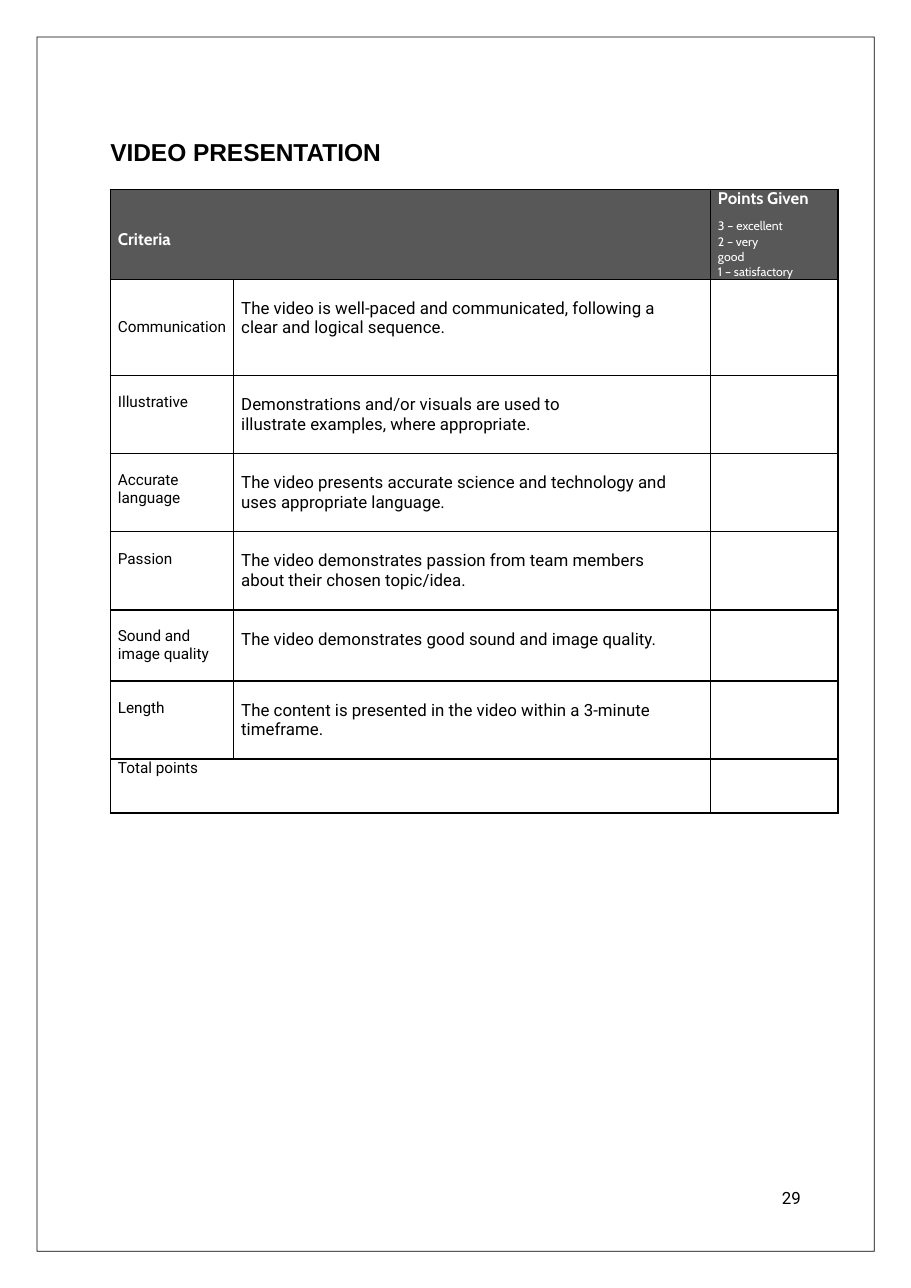
from dataclasses import dataclass
from typing import Optional

from lxml import etree
from pptx import Presentation
from pptx import util as u
from pptx.dml.color import RGBColor
from pptx.oxml import ns
from pptx.util import Pt

BLACK = RGBColor(0, 0, 0)
WHITE = RGBColor(255, 255, 255)
HEADER_GREY = RGBColor(0x58, 0x58, 0x58)

PAGE_W, PAGE_H = 594.72, 840.96
FRAME = (24, 24, 570.96, 817.2)  # left, top, right, bottom
FRAME_LINE = 0.5
TABLE_LEFT, TABLE_TOP = 72, 123.6
COLUMNS = (80.5, 311.2, 83.5)
ROWS = (59, 62.7, 51, 51, 51, 46.4, 51, 35.2)
CELL_INDENT = 5


@dataclass
class Para:
    text: str
    size: float
    font: str = "Roboto"
    color: RGBColor = BLACK
    bold: bool = False
    before: float = 0
    spacing: Optional[float | u.Length] = None


@dataclass
class Criterion:
    name: str
    name_top: float
    name_spacing: Optional[float]
    description: str
    description_right: float = 0
    description_spacing: Optional[float] = 12.6


CRITERIA = [
    Criterion("Communication", 25, None,
              "The video is well-paced and communicated, following a clear and logical sequence.", 25),
    Criterion("Illustrative", 11.8, None,
              "Demonstrations and/or visuals are used to illustrate examples, where appropriate.", 76, 12.7),
    Criterion("Accurate language", 11.7, 11.5,
              "The video presents accurate science and technology and uses appropriate language.", 16),
    Criterion("Passion", 11.8, None,
              "The video demonstrates passion from team members about their chosen topic/idea.", 25),
    Criterion("Sound and image quality", 11.7, 11.5,
              "The video demonstrates good sound and image quality.", 0, None),
    Criterion("Length", 11.8, None,
              "The content is presented in the video within a 3-minute timeframe."),
]


def set_attributes(target, **values) -> None:
    for name, value in values.items():
        setattr(target, name, value)


def write(tf, paras: list[Para]) -> None:
    for i, para in enumerate(paras):
        p = tf.add_paragraph() if i else tf.paragraphs[0]
        p.text = para.text
        set_attributes(p, space_before=Pt(para.before), line_spacing=para.spacing)
        for r in p.runs:
            set_attributes(r.font, name=para.font, size=Pt(para.size), bold=para.bold)
            r.font.color.rgb = para.color


def add_text(s, left: float, top: float, width: float, height: float, para: Para) -> None:
    tf = s.shapes.add_textbox(Pt(left), Pt(top), Pt(width), Pt(height)).text_frame
    set_attributes(tf, word_wrap=True, margin_left=Pt(0.7), margin_right=0,
                   margin_top=0, margin_bottom=0)
    write(tf, [para])


def fill_cell(cell, paras: list[Para], top: float = 0, right: float = 0) -> None:
    set_attributes(cell, margin_left=Pt(CELL_INDENT), margin_right=Pt(right),
                   margin_top=Pt(top), margin_bottom=0)
    write(cell.text_frame, paras)


def style_cell(cell, fill: Optional[RGBColor]) -> None:
    """Set the four borders, then the fill, in schema order."""
    tc_pr = cell._tc.get_or_add_tcPr()
    for side in ("a:lnL", "a:lnR", "a:lnT", "a:lnB"):
        ln = etree.SubElement(tc_pr, ns.qn(side), w=str(Pt(1)))
        solid = etree.SubElement(ln, ns.qn("a:solidFill"))
        etree.SubElement(solid, ns.qn("a:srgbClr"), val=str(BLACK))
    if fill is None:
        cell.fill.background()
    else:
        cell.fill.solid()
        cell.fill.fore_color.rgb = fill


def add_rubric(s) -> None:
    table = s.shapes.add_table(len(ROWS), len(COLUMNS), Pt(TABLE_LEFT), Pt(TABLE_TOP),
                               Pt(sum(COLUMNS)), Pt(sum(ROWS))).table
    set_attributes(table, first_row=False, horz_banding=False)
    for column, width in zip(table.columns, COLUMNS):
        column.width = Pt(width)
    for i, height in enumerate(ROWS):
        table.rows[i].height = Pt(height)
        for cell in table.rows[i].cells:
            style_cell(cell, None if i else HEADER_GREY)

    last = len(ROWS) - 1
    for i in (0, last):
        table.cell(i, 0).merge(table.cell(i, 1))
    fill_cell(table.cell(0, 0), [Para("Criteria", 11, "Cabin", WHITE, True)], top=26)
    fill_cell(table.cell(0, 2), [
        Para("Points Given", 11, "Cabin", WHITE, True, spacing=Pt(12.8)),
        Para("3 – excellent\v2 – very\vgood", 8, "Cabin", WHITE, before=6.5, spacing=1.01),
        Para("1 – satisfactory", 8, "Cabin", WHITE, before=0.1),
    ])
    for i, c in enumerate(CRITERIA, 1):
        name_spacing = Pt(c.name_spacing) if c.name_spacing else None
        description_spacing = Pt(c.description_spacing) if c.description_spacing else None
        fill_cell(table.cell(i, 0), [Para(c.name, 10, spacing=name_spacing)], c.name_top)
        fill_cell(table.cell(i, 1), [Para(c.description, 11, spacing=description_spacing)],
                  12.9, c.description_right)
    fill_cell(table.cell(last, 0), [Para("Total points", 10)])


def add_page_frame(s) -> None:
    """Draw the thin page border as an outer and an inner contour."""
    def corners(inset: float) -> list[tuple[int, int]]:
        left, top, right, bottom = FRAME
        x1, y1, x2, y2 = (Pt(v) for v in (left + inset, top + inset, right - inset, bottom - inset))
        return [(x1, y1), (x2, y1), (x2, y2), (x1, y2)]

    outer, inner = corners(0), corners(FRAME_LINE)
    builder = s.shapes.build_freeform(*outer[0])
    builder.add_line_segments(outer[1:])
    builder.move_to(*inner[0])
    builder.add_line_segments(inner[:0:-1])
    sp = builder.convert_to_shape()
    sp.shadow.inherit = False
    sp.fill.solid()
    sp.fill.fore_color.rgb = BLACK
    sp.line.fill.background()


def main() -> None:
    prs = Presentation()
    set_attributes(prs, slide_width=Pt(PAGE_W), slide_height=Pt(PAGE_H))
    s = prs.slides.add_slide(prs.slide_layouts[6])
    add_text(s, 71.3, 89.3, 181.4, 20.9, Para("VIDEO PRESENTATION", 16, "Arial", bold=True, before=0.9))
    add_rubric(s)
    add_page_frame(s)
    add_text(s, 509.8, 775.4, 17.3, 14.4, Para("29", 11))
    prs.save("out.pptx")


if __name__ == "__main__":
    main()
